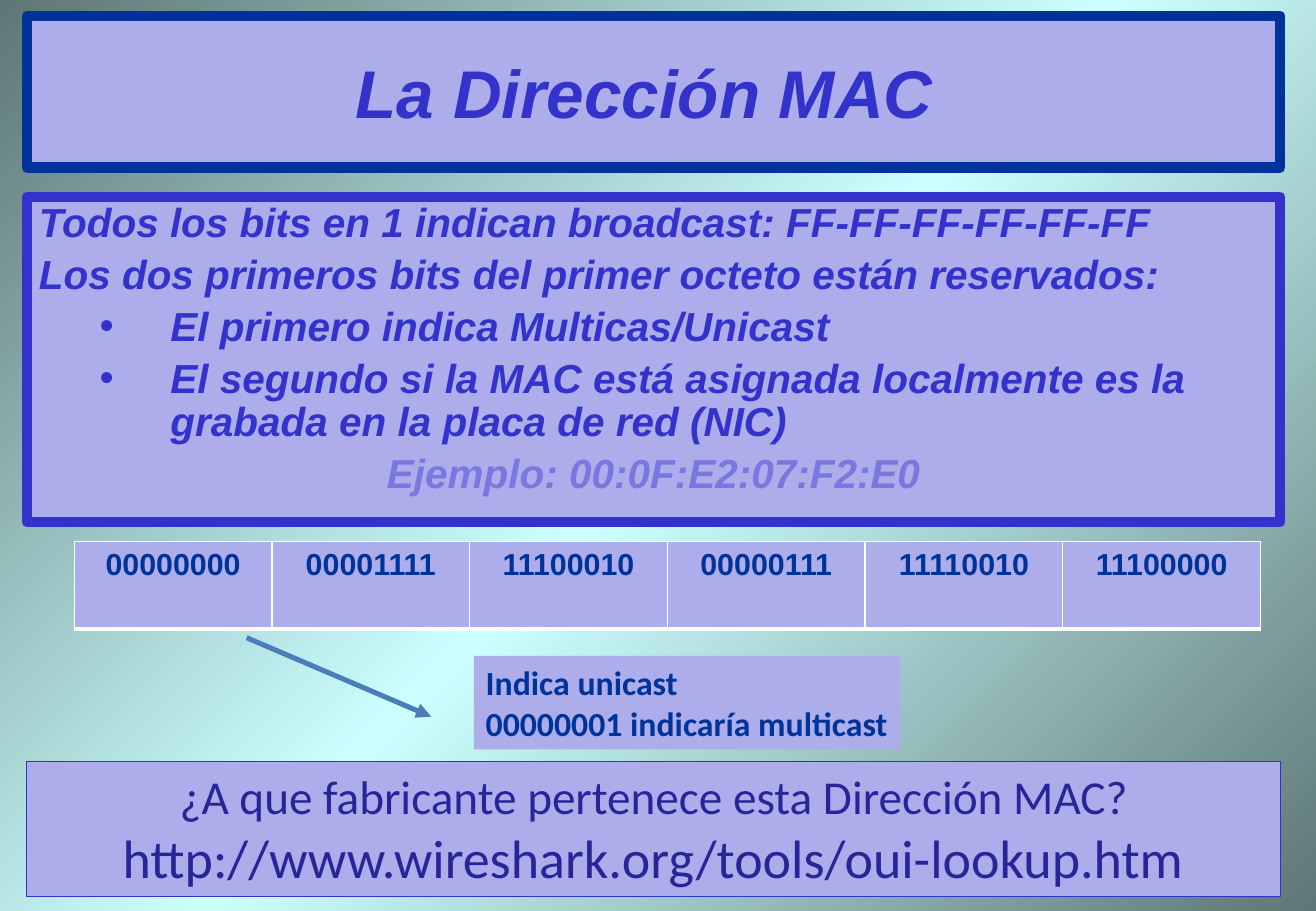
"""Build the slide about the structure of a MAC address."""
import copy

import lxml.etree
import pptx
import pptx.dml.color
import pptx.enum.shapes
import pptx.enum.text
import pptx.oxml.ns
import pptx.util

Pt = pptx.util.Pt
RGBColor = pptx.dml.color.RGBColor
Align = pptx.enum.text.PP_ALIGN
qn = pptx.oxml.ns.qn

LILAC = RGBColor(0xAD, 0xAD, 0xEB)
NAVY = RGBColor(0x00, 0x33, 0x99)
INDIGO = RGBColor(0x33, 0x33, 0xCC)
PALE_INDIGO = RGBColor(0x78, 0x78, 0xDE)
DARK_INDIGO = RGBColor(0x26, 0x26, 0x99)
ARROW_BLUE = RGBColor(0x4A, 0x7E, 0xBB)
WHITE = RGBColor(0xFF, 0xFF, 0xFF)
SLATE = RGBColor(0x5E, 0x76, 0x76)
AQUA = RGBColor(0xCC, 0xFF, 0xFF)

LEFT, WIDTH = 15.84, 743.04

RULES = [
    ("Todos los bits en 1 indican broadcast: FF-FF-FF-FF-FF-FF", 0),
    ("Los dos primeros bits del primer octeto están reservados:", 0),
    ("El primero indica Multicas/Unicast", 1),
    ("El segundo si la MAC está asignada localmente es la grabada en la placa de red (NIC)", 1),
]
EXAMPLE = "Ejemplo: 00:0F:E2:07:F2:E0"
OCTETS = ["00000000", "00001111", "11100010", "00000111", "11110010", "11100000"]


def add_xml(parent, tag, **attributes):
    return lxml.etree.SubElement(parent, qn(tag), attributes)


def style(paragraph, name, size, color, bold=False, italic=False):
    for run in paragraph.runs:
        font = run.font
        font.name, font.size = name, Pt(size)
        font.bold, font.italic = bold, italic
        font.color.rgb = color


def panel(shape, top, height, border, border_width, left=LEFT, width=WIDTH):
    shape.left, shape.top = Pt(left), Pt(top)
    shape.width, shape.height = Pt(width), Pt(height)
    shape.fill.solid()
    shape.fill.fore_color.rgb = LILAC
    if border is not None:
        shape.line.color.rgb = border
        shape.line.width = Pt(border_width)


def paint_background(slide):
    fill = slide.background.fill
    fill.gradient()
    fill.gradient_angle = 315
    first = slide.element.find(".//" + qn("a:gs"))
    first.addnext(copy.deepcopy(first))
    for stop, (position, color) in zip(fill.gradient_stops, [(0, SLATE), (0.5, AQUA), (1, SLATE)]):
        stop.position = position
        stop.color.rgb = color


def fill_title(title):
    panel(title, 9.36, 90, NAVY, 6)
    frame = title.text_frame
    frame.text = "La Dirección MAC "
    frame.vertical_anchor = pptx.enum.text.MSO_ANCHOR.MIDDLE
    frame.paragraphs[0].alignment = Align.CENTER
    style(frame.paragraphs[0], "Arial", 40, INDIGO, True, True)


def fill_rules(body):
    panel(body, 116.64, 192.96, INDIGO, 6)
    frame = body.text_frame
    frame.auto_size = pptx.enum.text.MSO_AUTO_SIZE.NONE
    lines = RULES + [(EXAMPLE, 0)]
    frame.text = "\n".join(text for text, level in lines)
    for index, (paragraph, (text, level)) in enumerate(zip(frame.paragraphs, lines)):
        margin, indent = (Pt(78), Pt(-42)) if level else (Pt(48), Pt(-48))
        properties = paragraph._p.get_or_add_pPr()
        properties.set("marL", str(margin))
        properties.set("indent", str(indent))
        if level:
            add_xml(properties, "a:buFont", typeface="Arial")
            add_xml(properties, "a:buChar", char="•")
        else:
            add_xml(properties, "a:buNone")
        paragraph.level = level
        paragraph.line_spacing = 0.9
        paragraph.space_before = Pt(4.8 if index else 0)
        paragraph.alignment = Align.CENTER if text == EXAMPLE else Align.LEFT
        style(paragraph, "Arial", 24, PALE_INDIGO if text == EXAMPLE else INDIGO, True, True)


def add_cell_borders(cell):
    properties = cell._tc.get_or_add_tcPr()
    for side, width in (("L", 1), ("R", 1), ("T", 1), ("B", 3)):
        border = add_xml(properties, "a:ln" + side, w=str(Pt(width)))
        add_xml(add_xml(border, "a:solidFill"), "a:srgbClr", val=str(WHITE))


def add_octets(slide):
    frame = slide.shapes.add_table(1, len(OCTETS), Pt(44), Pt(321), Pt(703.2), Pt(51.84))
    for column, octet in enumerate(OCTETS):
        cell = frame.table.cell(0, column)
        add_cell_borders(cell)
        cell.fill.solid()
        cell.fill.fore_color.rgb = LILAC
        cell.text_frame.text = octet
        cell.text_frame.paragraphs[0].alignment = Align.CENTER
        style(cell.text_frame.paragraphs[0], "Arial", 18, NAVY, True)


def add_arrow(slide):
    arrow = slide.shapes.add_connector(
        pptx.enum.shapes.MSO_CONNECTOR.STRAIGHT, Pt(146.2), Pt(378), Pt(255.6), Pt(424.8))
    arrow.line.color.rgb = ARROW_BLUE
    arrow.line.width = Pt(3)
    add_xml(arrow.line._get_or_add_ln(), "a:tailEnd", type="triangle")
    add_xml(arrow._element.spPr, "a:effectLst")


def add_note(slide, lines, box, border, alignment, wrap, color, sizes, bold):
    left, top, width, height = box
    note = slide.shapes.add_textbox(Pt(left), Pt(top), Pt(width), Pt(height))
    panel(note, top, height, border, 0.75, left, width)
    frame = note.text_frame
    frame.text = "\n".join(lines)
    frame.word_wrap = wrap
    frame.auto_size = pptx.enum.text.MSO_AUTO_SIZE.SHAPE_TO_FIT_TEXT
    for paragraph, size in zip(frame.paragraphs, sizes):
        paragraph.alignment = alignment
        style(paragraph, "Calibri", size, color, bold)


def main():
    deck = pptx.Presentation()
    deck.slide_width, deck.slide_height = Pt(780), Pt(540)
    slide = deck.slides.add_slide(deck.slide_layouts[1])
    paint_background(slide)
    fill_title(slide.shapes.title)
    fill_rules(slide.placeholders[1])
    add_octets(slide)
    add_arrow(slide)
    add_note(slide, ["Indica unicast", "00000001 indicaría multicast"],
             (280.8, 388.8, 252.72, 55.44), None, Align.LEFT, False, NAVY, (20, 20), True)
    add_note(slide, ["¿A que fabricante pertenece esta Dirección MAC?",
                     "http://www.wireshark.org/tools/oui-lookup.htm"],
             (LEFT, 451.44, WIDTH, 79.92), INDIGO, Align.CENTER, True, DARK_INDIGO, (28, 32), False)
    deck.save("out.pptx")


if __name__ == "__main__":
    main()
